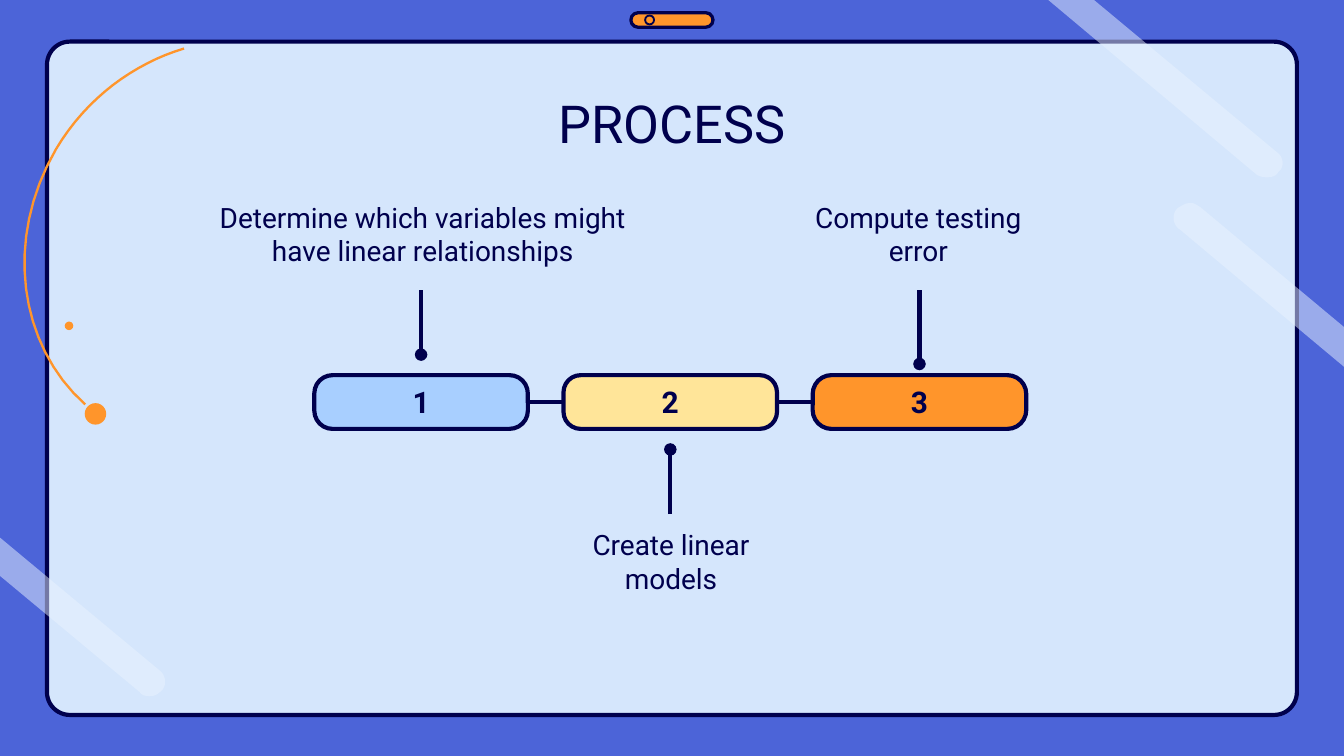
from lxml import etree
from pptx import Presentation
from pptx.dml.color import RGBColor
from pptx.enum.shapes import MSO_CONNECTOR, MSO_SHAPE
from pptx.enum.text import MSO_ANCHOR, MSO_AUTO_SIZE, PP_ALIGN
from pptx.oxml.ns import qn
from pptx.util import Pt

ROUNDED = MSO_SHAPE.ROUNDED_RECTANGLE
OVAL = MSO_SHAPE.OVAL
STRAIGHT = MSO_CONNECTOR.STRAIGHT
TOP, MIDDLE = MSO_ANCHOR.TOP, MSO_ANCHOR.MIDDLE
CENTER = PP_ALIGN.CENTER
LEFT_SIDE, RIGHT_SIDE = 1, 3

NAVY, ORANGE, BLUE = "00004D", "FF952B", "4C64D8"
PANEL, STREAK = "D5E6FC", "E9F3FF"
LINE_WIDTH = 2.25
CURVE_STEPS = 16

TITLE_FORMAT = {"name": "Roboto", "size": Pt(28), "bold": False}
BODY_FORMAT = {"name": "Roboto", "size": Pt(15), "bold": False}
NUMBER_FORMAT = {"name": "Roboto", "size": Pt(16), "bold": True}

# Step boxes: left edge of the first, distance between lefts, top and size
STEP_LEFT, STEP_PITCH, STEP_TOP = 168.4, 133.5, 201
STEP_WIDTH, STEP_HEIGHT = 114.4, 28.8

# Fill, corner rounding, caption, caption box, pointer start and dotted end
STEPS = [
    ("A8CFFF", 0.34, "Determine which variables might have linear relationships",
     (108.5, 100, 236, 54.7), 155.5, 190),
    ("FFE599", 0.32, "Create linear models",
     (288, 275.5, 143, 54.7), 275.5, 240.8),
    ("FF952B", 0.35, "Compute testing error",
     (420.5, 100, 143, 54.7), 155.5, 195),
]

# Outlines: a pair is a corner or start, six numbers are a Bezier curve
ARC = [(45.7, 216.7), (10, 185, 2, 128, 30, 80), (46.4, 52.3, 72, 34, 98.6, 26)]
STREAKS = [
    [(561.6, 0), (673.2, 93.6), (675.4, 95, 677.5, 95, 679, 95),
     (681.1, 95, 684, 94.3, 684.7, 92.2), (688.3, 90, 687.6, 84.2, 684.7, 82.1),
     (586.1, 0)],
    [(79.9, 373), (82.8, 373, 84.2, 372.2, 86.4, 370.1),
     (89.3, 367.9, 89.3, 362.2, 85.7, 359.3), (0, 288), (0, 308.5),
     (74.9, 370.8), (75.6, 372.2, 77.8, 373, 79.9, 373)],
    [(637.9, 108.7), (635, 108.7, 632.9, 110.2, 630.7, 111.6),
     (627.8, 114.5, 627.8, 120.2, 632.2, 123.1), (720, 196.5), (720, 175.2),
     (643, 110.9), (641.5, 110.2, 640.1, 108.7, 637.9, 108.7)],
]


def color(value):
    return RGBColor.from_string(value)


def style_shape(shape, fill=None, line=None, width=LINE_WIDTH):
    shape.shadow.inherit = False
    if fill:
        shape.fill.solid()
        shape.fill.fore_color.rgb = color(fill)
    else:
        shape.fill.background()
    if line:
        shape.line.color.rgb = color(line)
        shape.line.width = Pt(width)
    else:
        shape.line.fill.background()


def add_box(slide, kind, box, fill, line=None, width=LINE_WIDTH, rounding=None):
    shape = slide.shapes.add_shape(kind, *map(Pt, box))
    if rounding is not None:
        shape.adjustments[0] = rounding
    style_shape(shape, fill, line, width)
    return shape


def write_text(shape, text, font_format, anchor=TOP):
    frame = shape.text_frame
    frame.text = text
    frame_format = {"word_wrap": True, "auto_size": MSO_AUTO_SIZE.NONE,
                    "vertical_anchor": anchor}
    for side in ("left", "top", "right", "bottom"):
        frame_format[f"margin_{side}"] = Pt(7.2)
    for name, value in frame_format.items():
        setattr(frame, name, value)
    paragraph = frame.paragraphs[0]
    paragraph.alignment = CENTER
    font = paragraph.runs[0].font
    for name, value in font_format.items():
        setattr(font, name, value)
    font.color.rgb = color(NAVY)


def outline_points(segments):
    """Turn corners and Bezier curves into a list of points."""
    points = []
    for segment in segments:
        if len(segment) == 2:
            points.append(segment)
            continue
        controls = [points[-1], segment[0:2], segment[2:4], segment[4:6]]
        for step in range(1, CURVE_STEPS + 1):
            t = step / CURVE_STEPS
            weights = ((1 - t) ** 3, 3 * t * (1 - t) ** 2, 3 * t * t * (1 - t), t ** 3)
            points.append(tuple(sum(weight * control[axis]
                                    for weight, control in zip(weights, controls))
                                for axis in (0, 1)))
    return points


def add_outline(slide, segments, close):
    start, *others = [(Pt(x), Pt(y)) for x, y in outline_points(segments)]
    builder = slide.shapes.build_freeform(*start)
    builder.add_line_segments(others, close=close)
    return builder.convert_to_shape()


def add_line(slide, start, end, dotted=False):
    connector = slide.shapes.add_connector(STRAIGHT, *map(Pt, (*start, *end)))
    connector.line.color.rgb = color(NAVY)
    connector.line.width = Pt(LINE_WIDTH)
    if dotted:
        etree.SubElement(connector.line._get_or_add_ln(), qn("a:tailEnd"), type="oval")
    etree.SubElement(connector._element.spPr, qn("a:effectLst"))
    return connector


def add_decoration(slide):
    # Main panel and the button above it
    add_box(slide, ROUNDED, (25.2, 22.3, 669.6, 360.7), PANEL, NAVY, rounding=0.034)
    add_box(slide, ROUNDED, (338, 6.8, 44, 7.8), ORANGE, NAVY, 1.75, rounding=0.5)
    add_box(slide, OVAL, (345.6, 8.3, 4.8, 4.8), None, NAVY, 1)

    # Orange orbit with its two dots
    style_shape(add_outline(slide, ARC, close=False), line=ORANGE, width=1.25)
    add_box(slide, OVAL, (34.7, 172.3, 4.6, 4.6), ORANGE)
    add_box(slide, OVAL, (45.4, 216, 11.5, 11.5), ORANGE)

    # Half-transparent streaks
    for segments in STREAKS:
        streak = add_outline(slide, segments, close=True)
        style_shape(streak, STREAK)
        fill_color = streak._element.spPr.find(".//" + qn("a:srgbClr"))
        etree.SubElement(fill_color, qn("a:alpha"), val="50000")


def add_steps(slide):
    previous = None
    for index, (fill, rounding, caption, box, start, end) in enumerate(STEPS):
        left = STEP_LEFT + index * STEP_PITCH
        middle = left + STEP_WIDTH / 2
        add_line(slide, (middle, start), (middle, end), dotted=True)
        step = add_box(slide, ROUNDED, (left, STEP_TOP, STEP_WIDTH, STEP_HEIGHT),
                       fill, NAVY, rounding=rounding)
        write_text(step, str(index + 1), NUMBER_FORMAT, MIDDLE)
        if previous is not None:
            link = add_line(slide, (0, 0), (0, 0))
            link.begin_connect(previous, RIGHT_SIDE)
            link.end_connect(step, LEFT_SIDE)
        previous = step
        write_text(slide.shapes.add_textbox(*map(Pt, box)), caption, BODY_FORMAT)


def add_title(slide, text):
    title = slide.shapes.title
    place = dict(zip(("left", "top", "width", "height"), (56.7, 41.8, 606.6, 45.4)))
    for name, value in place.items():
        setattr(title, name, Pt(value))
    write_text(title, text, TITLE_FORMAT)
    # Bring the title in front of the panel
    slide.shapes._spTree.append(title._element)


def main():
    presentation = Presentation()
    presentation.slide_width, presentation.slide_height = Pt(720), Pt(405)
    slide = presentation.slides.add_slide(presentation.slide_layouts[5])
    slide.background.fill.solid()
    slide.background.fill.fore_color.rgb = color(BLUE)
    add_decoration(slide)
    add_title(slide, "PROCESS")
    add_steps(slide)
    presentation.save("out.pptx")


if __name__ == "__main__":
    main()
